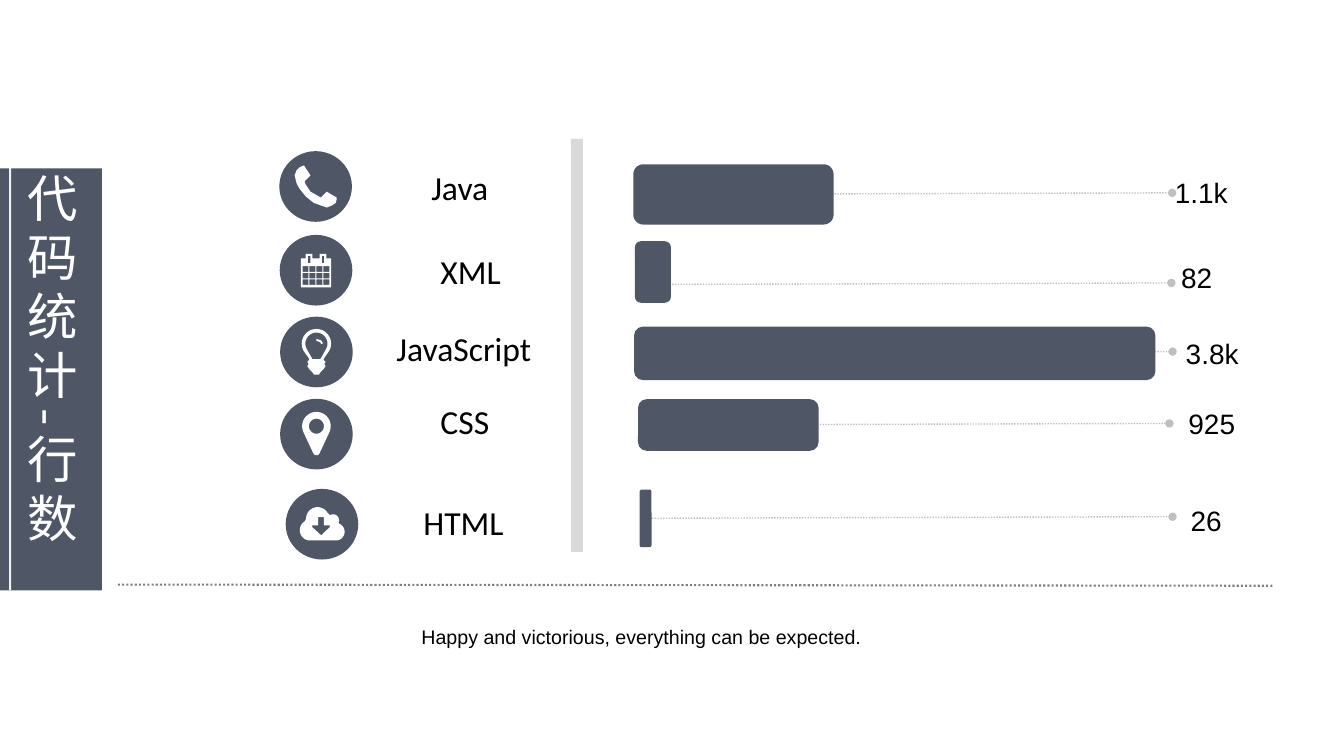
from dataclasses import dataclass
from math import cos, radians, sin

from lxml.etree import SubElement
from pptx import Presentation
from pptx.dml.color import RGBColor
from pptx.enum.dml import MSO_LINE
from pptx.enum.shapes import MSO_CONNECTOR, MSO_SHAPE
from pptx.enum.text import MSO_ANCHOR, MSO_AUTO_SIZE, PP_ALIGN
from pptx.oxml.ns import qn
from pptx.util import Cm, Pt

COLORS = {
    "slate": "4F5666",
    "white": "FFFFFF",
    "stripe": "F2F2F2",
    "divider": "D9D9D9",
    "leader": "BFBFBF",
    "rule": "808080",
    "text": "000000",
}


def color(name):
    return RGBColor.from_string(COLORS[name])


def arc(x, y, radius, start, end):
    """Points along a circle; degrees run clockwise from the right."""
    steps = 24
    angles = [radians(start + (end - start) * i / steps) for i in range(steps + 1)]
    return [(x + radius * cos(a), y + radius * sin(a)) for a in angles]


def box(left, top, width, height):
    right, bottom = left + width, top + height
    return [(left, top), (right, top), (right, bottom), (left, bottom)]


def mirrored(points):
    """Right-hand points followed by their reflection in the vertical axis."""
    return points + [(-x, y) for x, y in reversed(points)]


# Each icon is a list of closed outlines, in millimetres from the disc centre.
PHONE = [[
    (5.1, 4.1), (4.1, 4.8), (2.8, 5.3), (0.8, 4.6), (-0.5, 4.1), (-2.4, 2.6),
    (-4.1, 0.5), (-4.8, -0.8), (-5.3, -2.8), (-4.8, -4.1), (-4.1, -4.8),
    (-3, -5.3), (-2.8, -5.1), (-2.5, -4.6), (-1.8, -3.6), (-1.3, -2.8),
    (-2.8, -1.3), (-2.5, -0.5), (-1.3, 1.3), (0.8, 2.5), (1.3, 2.8),
    (2.8, 1.3), (3.6, 1.8), (4.8, 2.5), (5.3, 2.8), (5.3, 3.2),
]]
CALENDAR = [
    mirrored([(0.9, -3), (0.9, -4.1), (2.6, -4.1), (2.6, -3), (3.8, -3), (3.8, 4.3)]),
    *[box(x, -3.6, 0.6, 1.8) for x in (-2.05, 1.45)],
    *[box(-3.4 + 1.75 * column, -1 + 1.65 * row, 1.5, 1.4)
      for row in range(3) for column in range(4)],
]
BULB = [
    arc(0, -2.1, 3.7, 150, 390) + mirrored([
        (1.9, 1.6), (1.8, 2), (2.3, 2.5), (2, 3), (2.3, 3.6), (1.8, 4.3),
        (1.1, 5), (0.6, 5.7)]),
    arc(0, -2.1, 2.8, 150, 390) + mirrored([(1, 1.8)]),
    [(0, -3.3), (1.2, -2.9), (1.7, -2.2), (1.2, -2), (0.9, -2.5), (0, -2.8)],
]
PIN = [
    arc(0, -2, 3.6, 155, 385) + [(0.8, 4.8), (0.4, 5.3), (-0.4, 5.3), (-0.8, 4.8)],
    arc(0, -2, 1.9, 0, 360),
]
CLOUD = [
    arc(-3, 1.5, 2.6, 90, 240) + arc(-1.1, -1.4, 2.9, 180, 330)
    + arc(2.8, -1, 1.5, 240, 380) + arc(3.5, 1.9, 2.2, -70, 90),
    [(-1, -1.8), (0.5, -1.8), (0.5, 0.3), (2, 0.3), (2, 0.7), (-0.2, 2.8),
     (-2.5, 0.7), (-2.5, 0.3), (-1, 0.3)],
]


@dataclass
class Language:
    """One row; each place is given in centimetres."""
    name: str
    label: tuple  # left, top, width
    icon: list
    disc: tuple  # left, top
    bar: tuple  # left, top, width, height
    leader: tuple  # right end, starting height
    count: str
    count_box: tuple  # left, top, width, height


LANGUAGES = [
    Language("Java", (10.62, 4.07, 3.2), PHONE, (7.04, 3.81), (15.96, 4.14, 5.05, 1.52),
             (29.54, 4.9), "1.1k", (29.46, 4.26, 1.63, 1.4)),
    Language("XML", (10.85, 6.2, 3.05), CALENDAR, (7.05, 5.92), (16, 6.08, 0.91, 1.55),
             (29.52, 7.17), "82", (29.55, 6.4, 1.22, 1.42)),
    Language("JavaScript", (9.74, 8.13, 4.88), BULB, (7.06, 7.98), (15.98, 8.23, 13.14, 1.35),
             (29.55, 8.9), "3.8k", (29.8, 8.31, 1.5, 1.12)),
    Language("CSS", (10.85, 9.98, 2.62), PIN, (7.06, 10.05), (16.08, 10.06, 4.55, 1.3),
             (29.47, 10.71), "925", (29.89, 10.08, 1.3, 1.27)),
    Language("HTML", (10.42, 12.52, 2.95), CLOUD, (7.2, 12.32), (16.12, 12.34, 0.3, 1.45),
             (29.55, 13.06), "26", (29.95, 12.52, 0.9, 1.27)),
]


class SlideBuilder:
    def __init__(self, slide, title_font, label_font, text_font):
        self.slide = slide
        self.shapes = slide.shapes
        self.title_font = title_font
        self.label_font = label_font
        self.text_font = text_font

    def paint(self, shape, fill):
        shape.shadow.inherit = False
        shape.fill.solid()
        shape.fill.fore_color.rgb = color(fill)
        shape.line.fill.background()

    def shape(self, kind, place, fill):
        shape = self.shapes.add_shape(kind, *map(Cm, place))
        self.paint(shape, fill)

    def vertical_title(self, text, place):
        title = self.shapes.title
        title.left, title.top, title.width, title.height = map(Cm, place)
        title.fill.solid()
        title.fill.fore_color.rgb = color("slate")
        frame = title.text_frame
        frame.text = text
        frame.auto_size = MSO_AUTO_SIZE.NONE
        frame.vertical_anchor = MSO_ANCHOR.MIDDLE
        frame._txBody.bodyPr.set("vert", "eaVert")
        paragraph = frame.paragraphs[0]
        paragraph.alignment = PP_ALIGN.CENTER
        run = paragraph.runs[0]
        run.font.size = Pt(36)
        run.font.color.rgb = color("white")
        run.font.name = self.title_font
        properties = run._r.get_or_add_rPr()
        properties.set("spc", "600")
        SubElement(properties, qn("a:ea")).set("typeface", self.title_font)

    def text(self, text, place, size, font, alignment=PP_ALIGN.LEFT,
             spacing=None, margins=True):
        frame = self.shapes.add_textbox(*map(Cm, place)).text_frame
        frame.word_wrap = True
        if not margins:
            frame.margin_left = frame.margin_right = 0
            frame.margin_top = frame.margin_bottom = 0
        frame.text = text
        paragraph = frame.paragraphs[0]
        paragraph.alignment = alignment
        paragraph.line_spacing = spacing
        paragraph.font.size = Pt(size)
        paragraph.font.name = font
        paragraph.font.color.rgb = color("text")

    def dotted_line(self, start, end, stroke, width, dot_end=False):
        connector = self.shapes.add_connector(
            MSO_CONNECTOR.STRAIGHT, *map(Cm, start + end))
        connector.line.color.rgb = color(stroke)
        connector.line.width = Pt(width)
        connector.line.dash_style = MSO_LINE.ROUND_DOT
        if dot_end:
            SubElement(connector.line._get_or_add_ln(), qn("a:tailEnd")).set("type", "oval")
        SubElement(connector._element.spPr, qn("a:effectLst"))

    def icon(self, outlines, disc):
        width, height = 1.83, 1.78
        left, top = disc
        self.shape(MSO_SHAPE.OVAL, (left, top, width, height), "slate")
        contours = [[(100 * x, 100 * y) for x, y in outline] for outline in outlines]
        builder = self.shapes.build_freeform(*contours[0][0], scale=Cm(0.001))
        for contour in contours:
            builder.move_to(*contour[0])
            builder.add_line_segments(contour[1:], close=True)
        drawing = builder.convert_to_shape(Cm(left + width / 2), Cm(top + height / 2))
        self.paint(drawing, "white")

    def language_row(self, language):
        self.icon(language.icon, language.disc)
        self.text(language.name, (*language.label, 1.27), 24, self.label_font)
        end, height = language.leader
        self.dotted_line((language.bar[0] + 0.1, height), (end, height - 0.04),
                         "leader", 1, dot_end=True)
        self.shape(MSO_SHAPE.ROUNDED_RECTANGLE, language.bar, "slate")
        self.text(language.count, language.count_box, 20, self.text_font,
                  PP_ALIGN.CENTER, spacing=1.2, margins=False)


def main():
    presentation = Presentation()
    presentation.slide_width, presentation.slide_height = Cm(33.87), Cm(19.05)
    slide = presentation.slides.add_slide(presentation.slide_layouts[5])
    builder = SlideBuilder(slide, "Noto Sans CJK SC", "Calibri", "Arial")
    builder.vertical_title("代码统计-行数", (0, 4.24, 2.57, 10.64))
    builder.shape(MSO_SHAPE.RECTANGLE, (0.23, 4.24, 0.05, 10.64), "stripe")
    builder.shape(MSO_SHAPE.RECTANGLE, (14.39, 3.5, 0.3, 10.41), "divider")
    for language in LANGUAGES:
        builder.language_row(language)
    builder.dotted_line((2.97, 14.73), (32.11, 14.76), "rule", 1.5)
    builder.text("Happy and victorious, everything can be expected.",
                 (10.62, 15.64, 11.99, 0.71), 14, builder.text_font,
                 spacing=1.2, margins=False)
    presentation.save("out.pptx")


if __name__ == "__main__":
    main()
